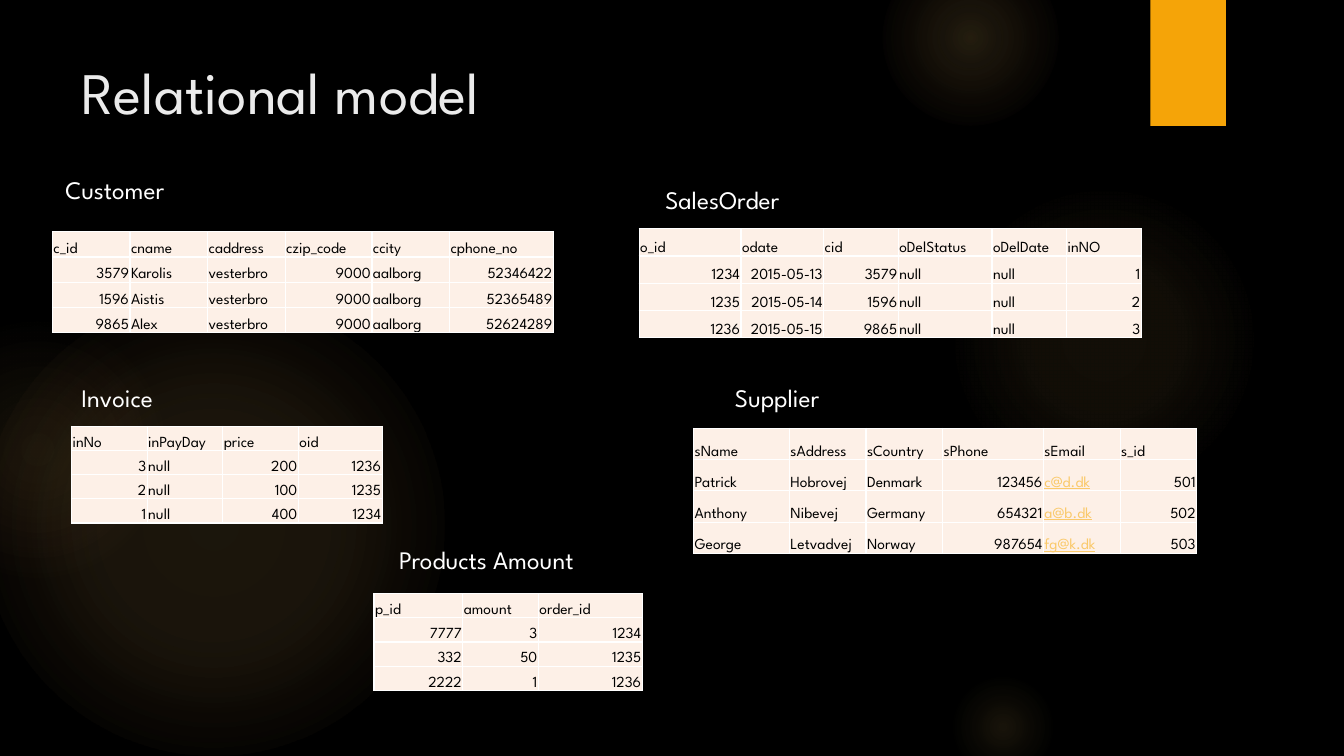
from dataclasses import dataclass

from lxml import etree
from pptx import Presentation
from pptx import util as u
from pptx.dml.color import RGBColor
from pptx.enum import shapes, text
from pptx.oxml.ns import nsdecls


@dataclass(frozen=True)
class Theme:
    """Colours, font and type sizes of the slide."""
    font: str = "League Spartan"
    back: str = "000000"
    gold: str = "F5A408"
    glow: str = "FAC96A"
    rose: str = "F59B74"
    head: str = "EBEBEB"
    white: str = "FFFFFF"
    ink: str = "000000"
    cell: str = "FDF0E7"
    big: int = 42
    mid: int = 18
    small: int = 11


T = Theme()

# Box and the (position, colour, opacity) stops of each glow, in percent.
GLOWS = [
    ((-0.17, 2.92, 4.58), [(0, T.glow, 11), (36, T.glow, 10), (75, T.glow, 0)]),
    ((-0.92, 3.17, 2.58), [(0, T.glow, 8), (36, T.glow, 5), (71, T.rose, 0)]),
    ((9.41, 1.83, 3.08), [(0, T.glow, 7), (36, T.glow, 6), (69, T.glow, 0)]),
    ((8.75, -0.5, 1.75), [(0, T.glow, 14), (36, T.glow, 7), (73, T.glow, 0)]),
    ((9.41, 6.67, 1.08), [(0, T.glow, 10), (31, T.glow, 5), (66, T.glow, 0)]),
]

# Place of the table, row height, column widths, rows.
TABLES = [
    (0.52, 2.3, 0.25, [0.77, 0.77, 0.77, 0.86, 0.77, 1.03], [
        ["c_id", "cname", "caddress", "czip_code", "ccity", "cphone_no"],
        ["3579", "Karolis", "vesterbro", "9000", "aalborg", "52346422"],
        ["1596", "Aistis", "vesterbro", "9000", "aalborg", "52365489"],
        ["9865", "Alex", "vesterbro", "9000", "aalborg", "52624289"]]),
    (6.34, 2.27, 0.27, [1.01, 0.82, 0.74, 0.93, 0.74, 0.74], [
        ["o_id", "odate", "cid", "oDelStatus", "oDelDate", "inNO"],
        ["1234", "2015-05-13", "3579", "null", "null", "1"],
        ["1235", "2015-05-14", "1596", "null", "null", "2"],
        ["1236", "2015-05-15", "9865", "null", "null", "3"]]),
    (0.71, 4.23, 0.24, [0.75, 0.75, 0.75, 0.83], [
        ["inNo", "inPayDay", "price", "oid"],
        ["3", "null", "200", "1236"],
        ["2", "null", "100", "1235"],
        ["1", "null", "400", "1234"]]),
    (3.71, 5.89, 0.24, [0.88, 0.75, 1.03], [
        ["p_id", "amount", "order_id"],
        ["7777", "3", "1234"],
        ["332", "50", "1235"],
        ["2222", "1", "1236"]]),
    (6.88, 4.25, 0.31, [0.95, 0.76, 0.76, 1, 0.76, 0.76], [
        ["sName", "sAddress", "sCountry", "sPhone", "sEmail", "s_id"],
        ["Patrick", "Hobrovej", "Denmark", "123456", "c@d.dk", "501"],
        ["Anthony", "Nibevej", "Germany", "654321", "a@b.dk", "502"],
        ["George", "Letvadvej", "Norway", "987654", "fg@k.dk", "503"]]),
]

LABELS = [
    ("Customer", 0.55, 1.68, 2.01),
    ("SalesOrder", 6.5, 1.78, 2.53),
    ("Invoice", 0.71, 3.74, 2.16),
    ("Products Amount", 3.86, 5.35, 2.38),
    ("Supplier", 7.19, 3.74, 2.7),
]


def rgb(code):
    """Turn a hex code into a colour."""
    return RGBColor.from_string(code)


def write(frame, words, size=T.small, color=T.ink, right=False, under=None):
    """Put one formatted line of text into a text frame."""
    para = frame.paragraphs[0]
    para.alignment = text.PP_ALIGN.RIGHT if right else text.PP_ALIGN.LEFT
    run = para.add_run()
    run.text = words
    font = run.font
    font.name, font.size, font.underline = T.font, u.Pt(size), under
    font.color.rgb = rgb(color)


def shape(slide, kind, left, top, wide, high, color):
    """Add a plain filled shape without line or shadow."""
    item = slide.shapes.add_shape(kind, *map(u.Inches, (left, top, wide, high)))
    item.shadow.inherit = False
    item.line.fill.background()
    item.fill.solid()
    item.fill.fore_color.rgb = rgb(color)
    return item


def glow(slide, box, stops):
    """Add a circle that fades out from its centre."""
    left, top, size = box
    item = shape(slide, shapes.MSO_SHAPE.OVAL, left, top, size, size, T.glow)
    marks = "".join(
        f'<a:gs pos="{pos * 1000}"><a:srgbClr val="{color}">'
        f'<a:alpha val="{alpha * 1000}"/></a:srgbClr></a:gs>'
        for pos, color, alpha in stops)
    fade = etree.fromstring(
        f'<a:gradFill {nsdecls("a")} rotWithShape="1"><a:gsLst>{marks}</a:gsLst>'
        '<a:path path="circle"><a:fillToRect l="50000" t="50000" r="50000" '
        'b="50000"/></a:path></a:gradFill>')
    props = item._element.spPr
    props.replace(props.find("{*}solidFill"), fade)


def title(slide, words):
    """Place the title above the backdrop and format it."""
    item = slide.shapes.title
    slide.shapes._spTree.append(item._element)
    item.left, item.top = u.Inches(0.71), u.Inches(0.5)
    item.width, item.height = u.Inches(10.29), u.Inches(1.53)
    frame = item.text_frame
    frame.auto_size = text.MSO_AUTO_SIZE.NONE
    frame.vertical_anchor = text.MSO_ANCHOR.TOP
    write(frame, words, size=T.big, color=T.head)


def label(slide, words, left, top, wide):
    """Add the name of a table."""
    box = slide.shapes.add_textbox(*map(u.Inches, (left, top, wide, 0.4)))
    box.text_frame.word_wrap = True
    write(box.text_frame, words, size=T.mid, color=T.white)


def style(cell):
    """Give a cell its margins, borders and fill."""
    cell.vertical_anchor = text.MSO_ANCHOR.BOTTOM
    cell.margin_left = cell.margin_right = cell.margin_top = u.Inches(0.01)
    cell.margin_bottom = 0
    props = cell._tc.get_or_add_tcPr()
    for side in "LRTB":
        props.append(etree.fromstring(
            f'<a:ln{side} {nsdecls("a")} w="{u.Pt(1)}"><a:solidFill>'
            f'<a:srgbClr val="{T.white}"/></a:solidFill></a:ln{side}>'))
    cell.fill.solid()
    cell.fill.fore_color.rgb = rgb(T.cell)


def table(slide, left, top, high, cols, rows):
    """Add a table with numbers to the right and mail addresses underlined."""
    area = map(u.Inches, (left, top, sum(cols), high * len(rows)))
    grid = slide.shapes.add_table(len(rows), len(cols), *area).table
    grid.first_row = grid.horz_banding = False
    for col, wide in zip(grid.columns, cols):
        col.width = u.Inches(wide)
    for line, row in zip(grid.rows, rows):
        line.height = u.Inches(high)
        for cell, words in zip(line.cells, row):
            style(cell)
            mail = "@" in words
            write(cell.text_frame, words, color=T.glow if mail else T.ink,
                  right=words[0].isdigit(), under=mail or None)


def main():
    """Build and save the slide."""
    deck = Presentation()
    deck.slide_width, deck.slide_height = u.Inches(13.33), u.Inches(7.5)
    slide = deck.slides.add_slide(deck.slide_layouts[5])
    slide.background.fill.solid()
    slide.background.fill.fore_color.rgb = rgb(T.back)
    for box, stops in GLOWS:
        glow(slide, box, stops)
    shape(slide, shapes.MSO_SHAPE.RECTANGLE, 11.41, 0, 0.75, 1.25, T.gold)
    title(slide, "Relational model")
    for item in TABLES:
        table(slide, *item)
    for item in LABELS:
        label(slide, *item)
    deck.save("out.pptx")


main()
